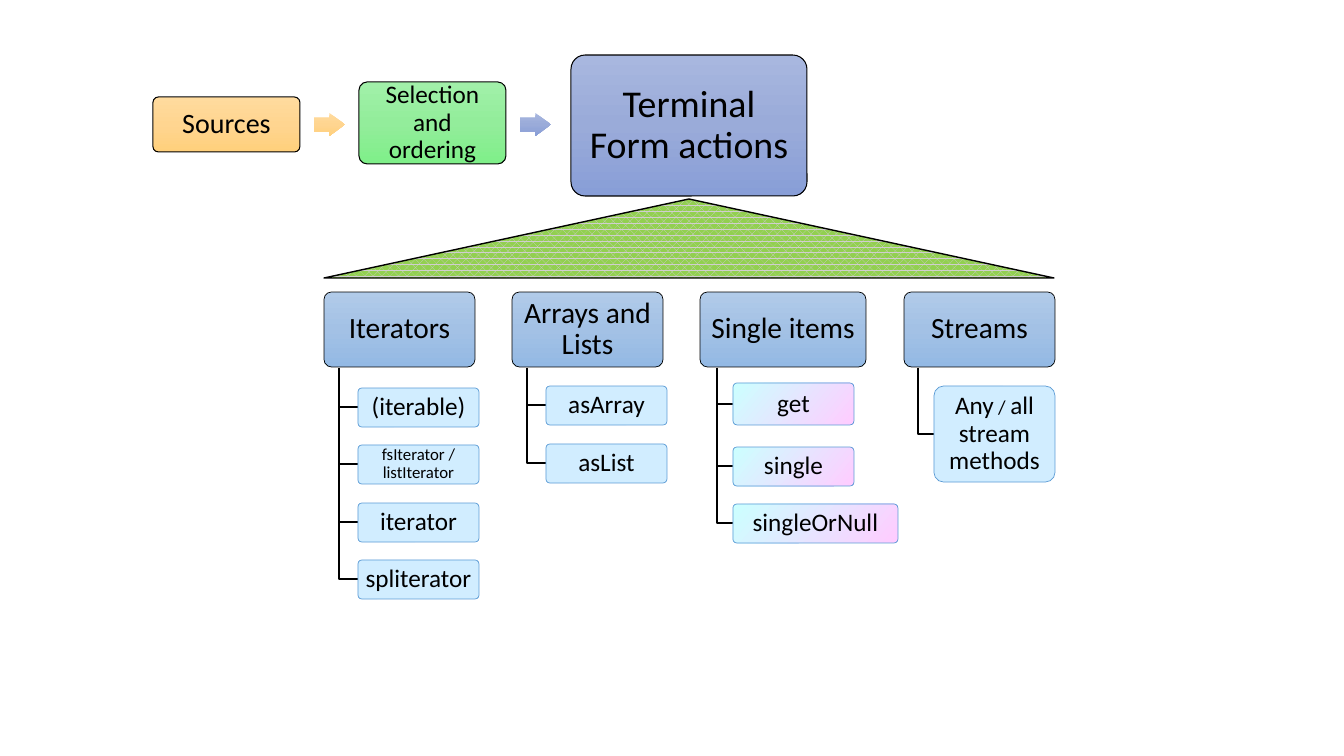
from copy import deepcopy
from dataclasses import dataclass
from lxml import etree
from pptx import Presentation, util as u
from pptx.dml import color as c
from pptx.enum import dml, shapes, text
from pptx.oxml import ns

SCALE = 914400 / 100.8
FONT = "Calibri"
HEX = {
    "ink": "000000", "edge": "5B9BD5", "pale": "CCECFF",
    "roof": "92D050", "dots": "D0CECE",
}
FADES = {
    "gold": (90, ("FFDB9E", "FFD590", "FFD07C")),
    "green": (90, ("A1F0A9", "93ED9B", "7FEF89")),
    "blue": (90, ("A8B7DF", "9AABD9", "889ED7")),
    "head": (90, ("B1CBE9", "A3C1E5", "93B9E4")),
    "pink": (40, ("CCFFFF", "FFCCFF")),
}
HEAD_Y, HEAD_H = 292, 75
BASE = HEAD_Y + HEAD_H + 1


@dataclass
class Run:
    text: str
    size: int = 18


@dataclass
class Box:
    x: int
    y: int
    w: int
    h: int
    hue: str
    runs: list[Run]
    pad: tuple[int, int] = (5, 4)
    line: str = "edge"
    width: float = 0.5


@dataclass
class Leaf:
    y: int
    runs: list[Run]
    w: int = 121
    h: int = 39
    pad: tuple[int, int] = (5, 4)


@dataclass
class Column:
    x: int
    w: int
    title: str
    stem: int
    left: int
    hue: str
    leaves: list[Leaf]
    fork: int = BASE


def px(n: float) -> int:
    return round(n * SCALE)


def rgb(name: str) -> c.RGBColor:
    return c.RGBColor.from_string(HEX.get(name, name))


def fade(shape, hue: str) -> None:
    angle, tones = FADES[hue]
    fill = shape.fill
    fill.gradient()
    fill.gradient_angle = 360 - angle
    stops = shape._element.spPr.find(".//" + ns.qn("a:gsLst"))
    for _ in tones[2:]:
        stops.insert(1, deepcopy(stops[0]))
    for i, (stop, tone) in enumerate(zip(fill.gradient_stops, tones)):
        stop.color.rgb = rgb(tone)
        stop.position = i / (len(tones) - 1)


def paint(shape, hue: str) -> None:
    shape.shadow.inherit = False
    if hue in FADES:
        fade(shape, hue)
        return
    shape.fill.solid()
    shape.fill.fore_color.rgb = rgb(hue)
    tone = shape._element.spPr.find(".//" + ns.qn("a:srgbClr"))
    etree.SubElement(tone, ns.qn("a:alpha")).set("val", "90000")


def stroke(shape, name: str, width: float) -> None:
    shape.line.color.rgb = rgb(name)
    shape.line.width = u.Pt(width)


def add(kind, x: int, y: int, w: int, h: int):
    return slide.shapes.add_shape(kind, px(x), px(y), px(w), px(h))


def write(frame, runs: list[Run]) -> None:
    para = frame.paragraphs[0]
    para.alignment = text.PP_ALIGN.CENTER
    para.line_spacing = 0.9
    for item in runs:
        for i, part in enumerate(item.text.split("\n")):
            if i:
                para.add_line_break()
            run = para.add_run()
            run.text = part
            run.font.name = FONT
            run.font.size = u.Pt(item.size)
            run.font.color.rgb = rgb("ink")


def draw(box: Box) -> None:
    shape = add(shapes.MSO_SHAPE.ROUNDED_RECTANGLE, box.x, box.y, box.w, box.h)
    shape.adjustments[0] = 0.1
    paint(shape, box.hue)
    stroke(shape, box.line, box.width)
    frame = shape.text_frame
    frame.word_wrap = True
    frame.vertical_anchor = text.MSO_ANCHOR.MIDDLE
    inset = 0.03 * box.h
    side, top = (px(max(0, pad - inset)) for pad in box.pad)
    frame.margin_left = frame.margin_right = side
    frame.margin_top = frame.margin_bottom = top
    write(frame, box.runs)


def arrow(x: int, hue: str) -> None:
    shape = add(shapes.MSO_SHAPE.RIGHT_ARROW, x, 113, 31, 23)
    shape.adjustments[0] = 0.6
    shape.adjustments[1] = 0.68
    paint(shape, hue)
    shape.line.fill.background()


def branch(x: int, top: int, end: int, mid: int) -> None:
    build = slide.shapes.build_freeform(x, top, scale=SCALE)
    build.add_line_segments([(x, mid), (end, mid)], close=False)
    shape = build.convert_to_shape()
    shape.shadow.inherit = False
    shape.fill.background()
    stroke(shape, "ink", 1)


def link(x: int, top: int, end: int) -> None:
    line = slide.shapes.add_connector(
        shapes.MSO_CONNECTOR.STRAIGHT, px(x), px(top), px(x), px(end))
    etree.SubElement(line._element.spPr, ns.qn("a:effectLst"))
    stroke(line, "ink", 1)


def tree(col: Column) -> None:
    draw(Box(col.x, HEAD_Y, col.w, HEAD_H, "head", [Run(col.title, 21)], (7, 5), "ink"))
    for i, leaf in enumerate(col.leaves):
        mid = leaf.y + leaf.h // 2
        branch(col.stem, col.fork if i else BASE, col.left, mid)
        draw(Box(col.left, leaf.y, leaf.w, leaf.h, col.hue, leaf.runs, leaf.pad))
    if col.fork > BASE:
        first = col.leaves[0]
        link(col.stem, col.fork, first.y + first.h // 2)


STEPS = [
    Box(153, 97, 147, 55, "gold", [Run("Sources", 20)], (15, 15), "ink", 0.75),
    Box(359, 82, 147, 82, "green", [Run("Selection\nand ordering")], (15, 15), "ink", 0.75),
    Box(571, 55, 236, 141, "blue", [Run("Terminal Form actions", 27)], (15, 15), "ink", 0.75),
]
ANY = [Run("Any"), Run(" / ", 14), Run("all"), Run(" ", 14),
       Run("stream"), Run(" ", 14), Run("methods")]
COLUMNS = [
    Column(324, 151, "Iterators", 339, 358, "pale", [
        Leaf(388, [Run("(iterable)")]),
        Leaf(445, [Run("fsIterator /\nlistIterator", 12)]),
        Leaf(503, [Run("iterator")]),
        Leaf(560, [Run("spliterator")]),
    ], 427),
    Column(512, 151, "Arrays and Lists", 527, 546, "pale", [
        Leaf(386, [Run("asArray")]),
        Leaf(444, [Run("asList")]),
    ]),
    Column(700, 166, "Single items", 717, 733, "pink", [
        Leaf(383, [Run("get")], h=42),
        Leaf(447, [Run("single")]),
        Leaf(504, [Run("singleOrNull")], w=165),
    ]),
    Column(904, 151, "Streams", 918, 934, "pale", [
        Leaf(386, ANY, h=96, pad=(7, 5)),
    ]),
]

deck = Presentation()
deck.slide_width, deck.slide_height = px(1344), px(756)
slide = deck.slides.add_slide(deck.slide_layouts[6])

for step in STEPS:
    draw(step)
arrow(314, "gold")
arrow(520, "blue")

for col in COLUMNS:
    tree(col)

roof = add(shapes.MSO_SHAPE.FLOWCHART_EXTRACT, 324, 199, 730, 79)
roof.shadow.inherit = False
roof.fill.patterned()
roof.fill.pattern = dml.MSO_PATTERN.PERCENT_60
roof.fill.fore_color.rgb = rgb("dots")
roof.fill.back_color.rgb = rgb("roof")
stroke(roof, "ink", 1)

deck.save("out.pptx")
